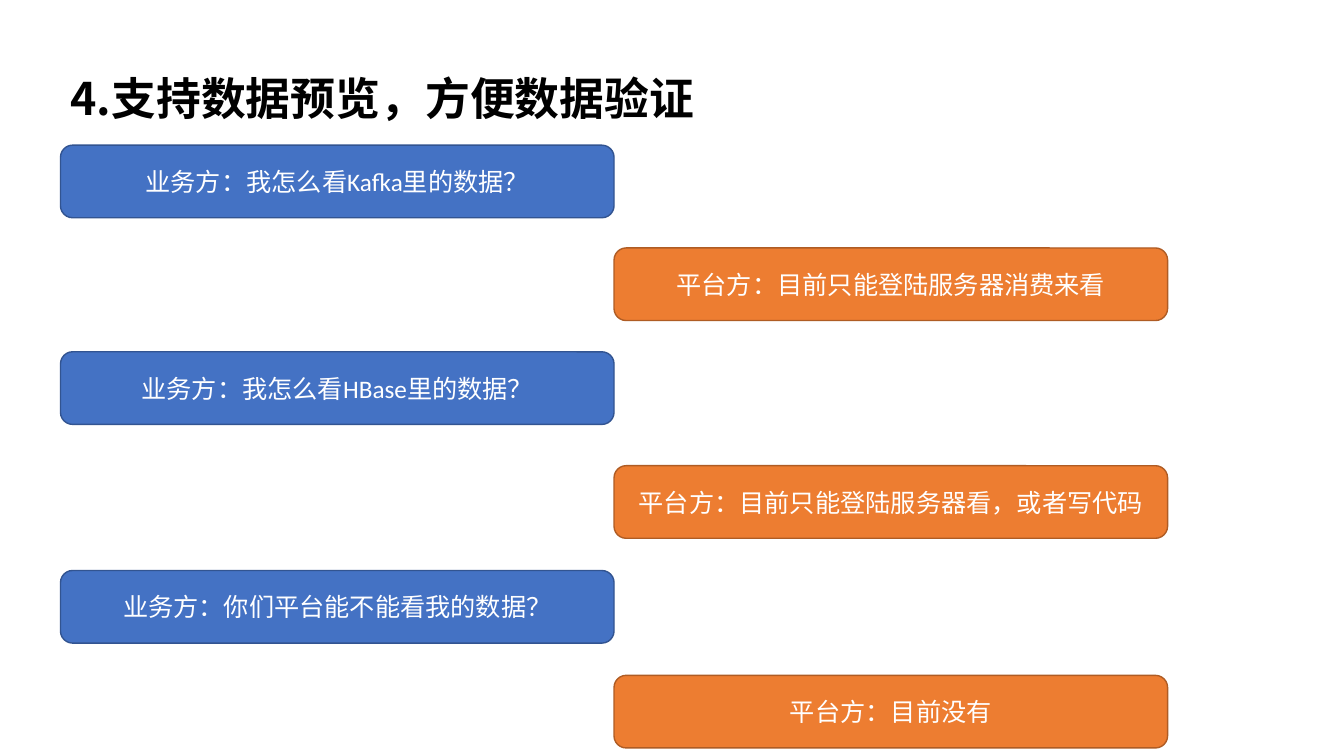
import pptx
import pptx.util
import pptx.dml.color
import pptx.enum.shapes
import pptx.enum.text
import pptx.oxml.ns
from lxml import etree
from pptx.util import Inches

COLORS = {
    "title": "000000",
    "text": "FFFFFF",
    "ask": "4472C4",
    "ask_line": "325491",
    "reply": "ED7D31",
    "reply_line": "AF5C24",
}
CJK = "Noto Sans CJK JP"
LEFT, WIDTH, HEIGHT = 0.6, 5.49, 0.72
CHAT = [
    ("ask", 1.44, "业务方：我怎么看Kafka里的数据？"),
    ("reply", 2.46, "平台方：目前只能登陆服务器消费来看"),
    ("ask", 3.49, "业务方：我怎么看HBase里的数据？"),
    ("reply", 4.62, "平台方：目前只能登陆服务器看，或者写代码"),
    ("ask", 5.66, "业务方：你们平台能不能看我的数据？"),
    ("reply", 6.7, "平台方：目前没有"),
]


def color(name):
    return pptx.dml.color.RGBColor.from_string(COLORS[name])


def style(par, size, face, tint, bold=False):
    """Format every run, with the CJK face for East Asian text."""
    for run in par.runs:
        font = run.font
        font.size = pptx.util.Pt(size)
        font.name = face
        font.bold = bold
        font.color.rgb = color(tint)
        east = etree.SubElement(run._r.get_or_add_rPr(), pptx.oxml.ns.qn("a:ea"))
        east.set("typeface", CJK)


def add_title(slide, text, left, top, width, height):
    box = slide.shapes.add_textbox(
        Inches(left), Inches(top), Inches(width), Inches(height))
    frame = box.text_frame
    frame.text = text
    frame.word_wrap = False
    frame.auto_size = pptx.enum.text.MSO_AUTO_SIZE.SHAPE_TO_FIT_TEXT
    style(frame.paragraphs[0], 32, CJK, "title", True)


def add_bubble(slide, role, text, left, top, width, height):
    shape = slide.shapes.add_shape(
        pptx.enum.shapes.MSO_SHAPE.ROUNDED_RECTANGLE,
        Inches(left), Inches(top), Inches(width), Inches(height))
    shape.shadow.inherit = False
    shape.fill.solid()
    shape.fill.fore_color.rgb = color(role)
    shape.line.color.rgb = color(role + "_line")
    shape.line.width = pptx.util.Pt(1)
    frame = shape.text_frame
    frame.text = text
    frame.word_wrap = True
    frame.vertical_anchor = pptx.enum.text.MSO_ANCHOR.MIDDLE
    par = frame.paragraphs[0]
    par.alignment = pptx.enum.text.PP_ALIGN.CENTER
    style(par, 18, "Calibri", "text")


def add_chat(slide, left, width, height):
    """Place questions on the left and replies one column to the right."""
    for role, top, text in CHAT:
        side = left if role == "ask" else left + width
        add_bubble(slide, role, text, side, top, width, height)


def main():
    deck = pptx.Presentation()
    deck.slide_width = Inches(13.33)
    deck.slide_height = Inches(7.5)
    slide = deck.slides.add_slide(deck.slide_layouts[6])
    add_title(slide, "4.支持数据预览，方便数据验证", LEFT, 0.65, 6.57, 0.64)
    add_chat(slide, LEFT, WIDTH, HEIGHT)
    deck.save("out.pptx")


if __name__ == "__main__":
    main()
